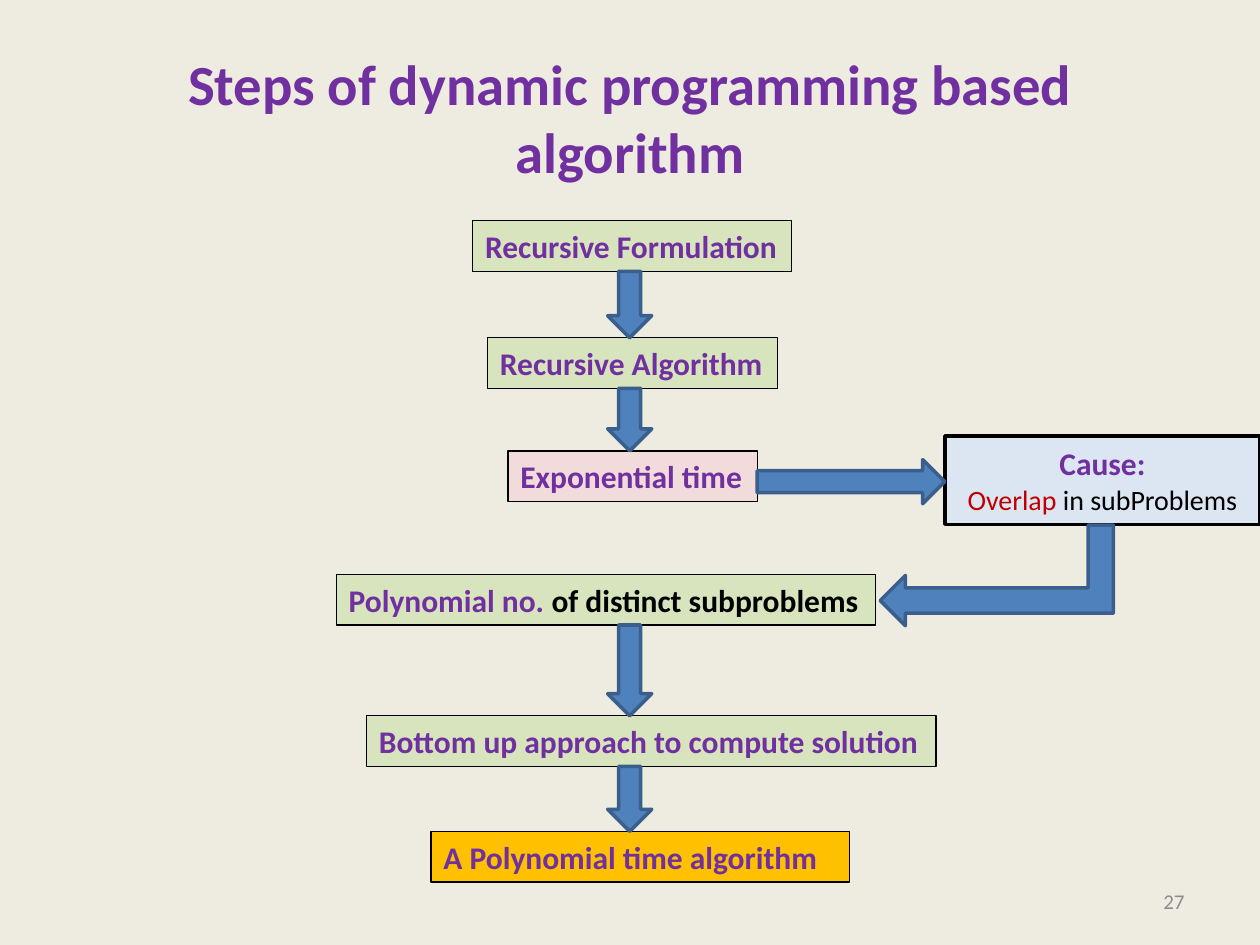
import pptx
import pptx.dml.color
import pptx.enum.shapes
import pptx.enum.text
import pptx.util

Cm = pptx.util.Cm
Shape = pptx.enum.shapes.MSO_SHAPE
Align = pptx.enum.text.PP_ALIGN
Anchor = pptx.enum.text.MSO_ANCHOR
Fit = pptx.enum.text.MSO_AUTO_SIZE

COLOURS = {
    "background": "EEECE1", "purple": "7030A0", "black": "000000",
    "red": "C00000", "grey": "8C8C8C", "green": "D7E4BD",
    "pink": "F2DCDB", "orange": "FFC000", "pale blue": "DCE6F2",
    "arrow": "4F81BD", "arrow edge": "3A5F8C",
}
BOX_HEIGHT = 1.02
ARROW_WIDTH = 0.89
ARROW_LEFT = 12.25

STEPS = [
    (9.53, 4.45, 6.43, "green", [("Recursive Formulation", "purple")]),
    (9.83, 6.81, 5.84, "green", [("Recursive Algorithm", "purple")]),
    (10.24, 9.09, 5.03, "pink", [("Exponential time", "purple")]),
    (6.78, 11.58, 10.87, "green",
     [("Polynomial no. ", "purple"), ("of distinct subproblems", "black")]),
    (7.39, 14.43, 11.48, "green",
     [("Bottom up approach to compute solution", "purple")]),
    (8.69, 16.76, 8.43, "orange", [("A Polynomial time algorithm", "purple")]),
]
DETOUR_AFTER = 2


def rgb(name):
    """Return the named colour."""
    return pptx.dml.color.RGBColor.from_string(COLOURS[name])


def paint(shape, fill, line, width):
    """Fill and outline a shape."""
    shape.fill.solid()
    shape.fill.fore_color.rgb = rgb(fill)
    shape.line.color.rgb = rgb(line)
    shape.line.width = pptx.util.Pt(width)


def add_span(para, text, *, size=18, colour="purple", bold=True):
    """Append formatted text to a paragraph."""
    span = para.add_run()
    span.text = text
    span.font.name = "Calibri"
    span.font.size = pptx.util.Pt(size)
    span.font.bold = bold
    span.font.color.rgb = rgb(colour)


def add_label(page, place, text, *, align, **style):
    """Add plain text centred vertically in its place."""
    frame = page.shapes.add_textbox(*map(Cm, place)).text_frame
    frame.word_wrap = True
    frame.vertical_anchor = Anchor.MIDDLE
    frame.paragraphs[0].alignment = align
    add_span(frame.paragraphs[0], text, **style)


def add_step(page, left, top, width, fill, spans):
    """Add one outlined step of the flow."""
    box = page.shapes.add_textbox(Cm(left), Cm(top), Cm(width), Cm(BOX_HEIGHT))
    paint(box, fill, "black", 0.75)
    box.text_frame.word_wrap = False
    box.text_frame.auto_size = Fit.SHAPE_TO_FIT_TEXT
    for text, colour in spans:
        add_span(box.text_frame.paragraphs[0], text, colour=colour)


def add_arrow(page, kind, place, *, rotation=0, flip=False):
    """Add a block arrow, optionally turned and mirrored."""
    arrow = page.shapes.add_shape(kind, *map(Cm, place))
    arrow.shadow.inherit = False
    paint(arrow, "arrow", "arrow edge", 2)
    arrow.rotation = rotation
    if flip:
        arrow._element.spPr.xfrm.set("flipH", "1")


def add_cause(page):
    """Add the callout that explains the exponential time."""
    box = page.shapes.add_shape(
        Shape.LINE_CALLOUT_2, Cm(19.05), Cm(8.79), Cm(6.35), Cm(1.78))
    box.shadow.inherit = False
    paint(box, "pale blue", "black", 2)
    for index, value in enumerate((0.49, -0.01, 0.48, 0, 0.5, 0)):
        box.adjustments[index] = value
    frame = box.text_frame
    frame.word_wrap = True
    frame.vertical_anchor = Anchor.MIDDLE
    heading, detail = frame.paragraphs[0], frame.add_paragraph()
    heading.alignment = detail.alignment = Align.CENTER
    add_span(heading, "Cause:")
    add_span(detail, "Overlap ", size=16, colour="red", bold=False)
    add_span(detail, "in subProblems", size=16, colour="black", bold=False)


def main():
    """Build and save the slide."""
    deck = pptx.Presentation()
    deck.slide_width, deck.slide_height = Cm(25.4), Cm(19.05)
    page = deck.slides.add_slide(deck.slide_layouts[6])
    page.background.fill.solid()
    page.background.fill.fore_color.rgb = rgb("background")
    add_label(page, (1.27, 0.76, 22.86, 3.18),
              "Steps of dynamic programming based algorithm",
              align=Align.CENTER, size=32.4)
    add_label(page, (18.21, 17.65, 5.92, 1.02), "27",
              align=Align.RIGHT, size=12, colour="grey", bold=False)
    for step in STEPS:
        add_step(page, *step)
    add_cause(page)
    for index, (step, following) in enumerate(zip(STEPS, STEPS[1:])):
        if index != DETOUR_AFTER:
            top = step[1] + BOX_HEIGHT
            add_arrow(page, Shape.DOWN_ARROW,
                      (ARROW_LEFT, top, ARROW_WIDTH, following[1] - top))
    add_arrow(page, Shape.DOWN_ARROW, (16.71, 7.82, ARROW_WIDTH, 3.78),
              rotation=270)
    add_arrow(page, Shape.BENT_UP_ARROW, (19.08, 9.25, 2.03, 4.7),
              rotation=270, flip=True)
    deck.save("out.pptx")


if __name__ == "__main__":
    main()
